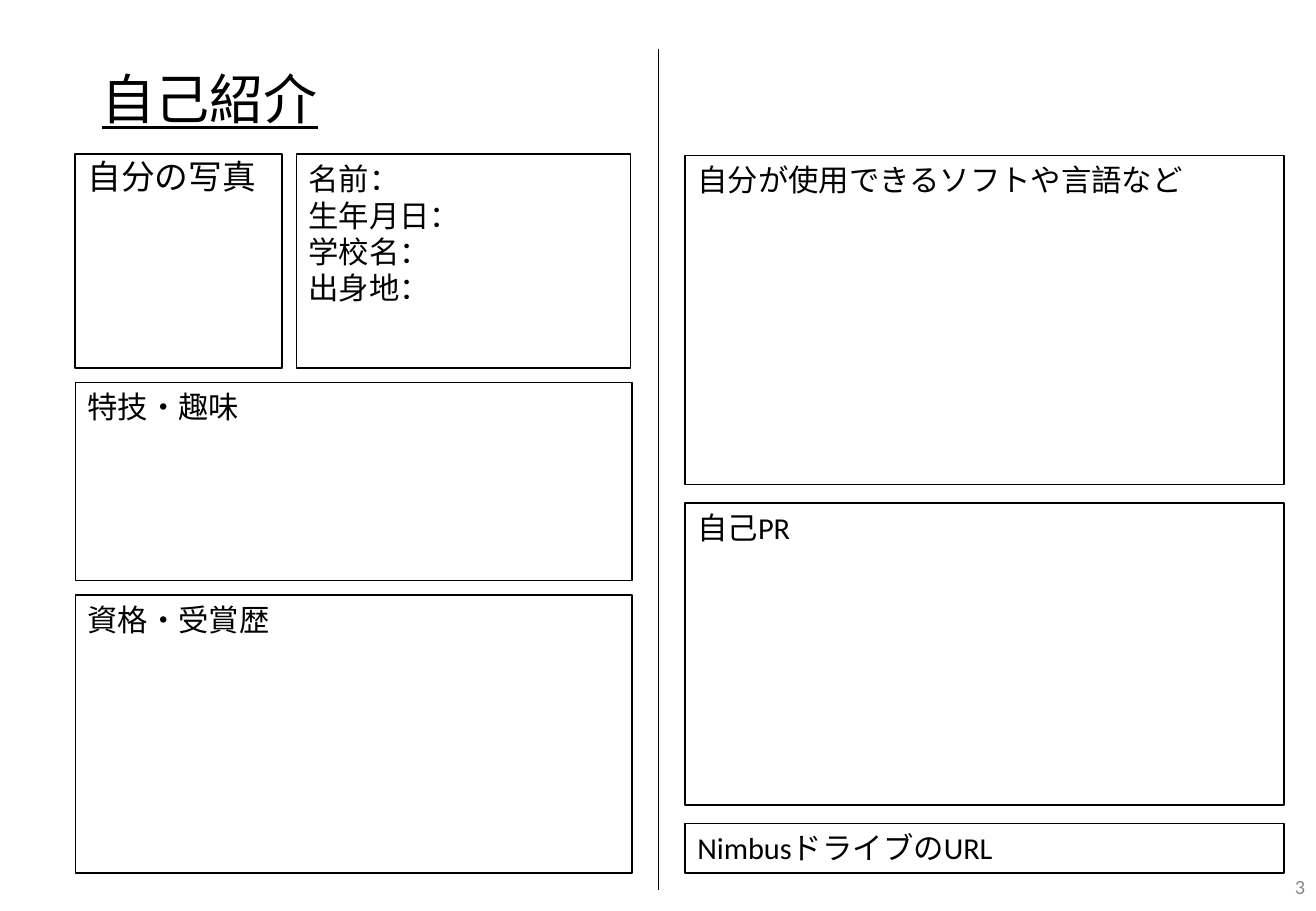
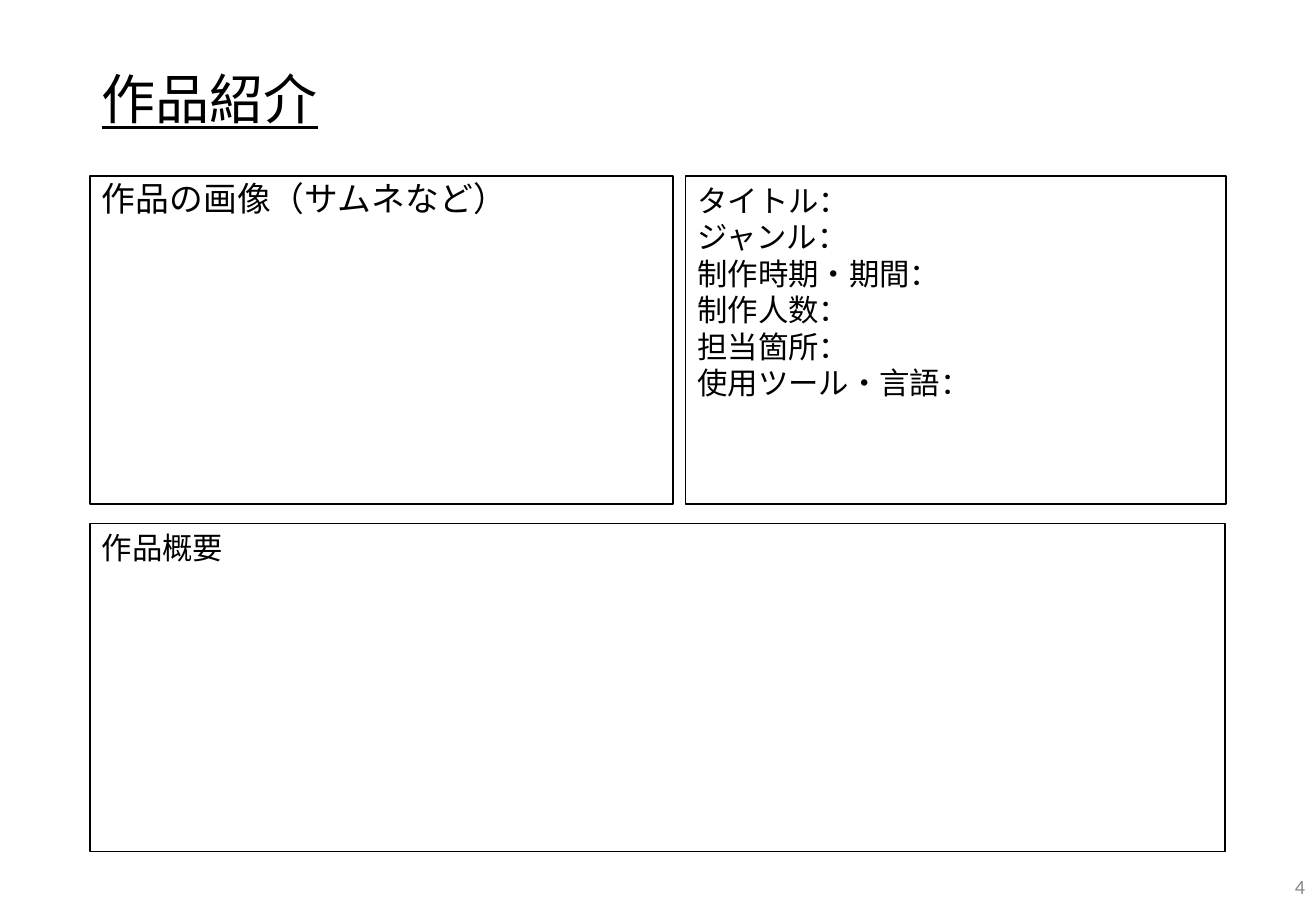
from lxml.etree import SubElement
from pptx import Presentation
from pptx.dml.color import RGBColor
from pptx.enum.shapes import MSO_CONNECTOR, MSO_SHAPE
from pptx.enum.text import MSO_ANCHOR, PP_ALIGN
from pptx.oxml.ns import qn
from pptx.util import Inches, Pt

COLORS = {"paper": "FFFFFF", "ink": "000000", "number": "888888"}
FONT = "Calibri"
TITLE = {"size": 32, "underline": True, "spacing": 0.9}
PICTURE = {"size": 20, "spacing": 0.9}
FIELD = {"size": 18}
NUMBER = {"size": 12, "color": "number", "align": PP_ALIGN.RIGHT}

# Each column stacks rows of (height, cells); each cell is (width, lines, style).
PAGES = [
    {
        "title": "自己紹介",
        "number": "3",
        "divider": (5.42, 0.4, 7.33),
        "columns": [
            {"left": 0.62, "top": 1.27, "row_gap": 0.12, "cell_gap": 0.12, "rows": [
                (1.76, [
                    (1.7, ["自分の写真"], PICTURE),
                    (2.75, ["名前：", "生年月日：", "学校名：", "出身地："], FIELD),
                ]),
                (1.63, [(4.58, ["特技・趣味"], FIELD)]),
                (2.29, [(4.58, ["資格・受賞歴"], FIELD)]),
            ]},
            {"left": 5.64, "top": 1.28, "row_gap": 0.15, "cell_gap": 0, "rows": [
                (2.71, [(4.93, ["自分が使用できるソフトや言語など"], FIELD)]),
                (2.49, [(4.93, ["自己PR"], FIELD)]),
                (0.41, [(4.93, ["NimbusドライブのURL"], FIELD)]),
            ]},
        ],
    },
    {
        "title": "作品紹介",
        "number": "4",
        "divider": None,
        "columns": [
            {"left": 0.74, "top": 1.45, "row_gap": 0.16, "cell_gap": 0.1, "rows": [
                (2.7, [
                    (4.8, ["作品の画像（サムネなど）"], PICTURE),
                    (4.45, ["タイトル：", "ジャンル：", "制作時期・期間：",
                            "制作人数：", "担当箇所：", "使用ツール・言語："], FIELD),
                ]),
                (2.7, [(9.34, ["作品概要"], FIELD)]),
            ]},
        ],
    },
]


def color(name):
    return RGBColor.from_string(COLORS[name])


def write(shape, lines, style, anchor):
    frame = shape.text_frame
    frame.word_wrap = True
    frame.vertical_anchor = anchor
    frame.text = "\n".join(lines)
    for para in frame.paragraphs:
        para.alignment = style.get("align", PP_ALIGN.LEFT)
        para.line_spacing = style.get("spacing")
        for span in para.runs:
            span.font.name = FONT
            span.font.size = Pt(style["size"])
            span.font.underline = style.get("underline")
            span.font.color.rgb = color(style.get("color", "ink"))


def add_label(page, area, text, style):
    box = page.shapes.add_textbox(*map(Inches, area))
    write(box, [text], style, MSO_ANCHOR.MIDDLE)


def add_frame(page, area, lines, style):
    box = page.shapes.add_shape(MSO_SHAPE.RECTANGLE, *map(Inches, area))
    box.shadow.inherit = False
    box.fill.solid()
    box.fill.fore_color.rgb = color("paper")
    box.line.color.rgb = color("ink")
    box.line.width = Pt(1)
    write(box, lines, style, MSO_ANCHOR.TOP)


def add_divider(page, x, top, bottom):
    line = page.shapes.add_connector(
        MSO_CONNECTOR.STRAIGHT, Inches(x), Inches(top), Inches(x), Inches(bottom))
    line.line.color.rgb = color("ink")
    line.line.width = Pt(0.75)
    SubElement(line._element.spPr, qn("a:effectLst"))


def add_column(page, column):
    top = column["top"]
    for height, cells in column["rows"]:
        left = column["left"]
        for width, lines, style in cells:
            add_frame(page, (left, top, width, height), lines, style)
            left += width + column["cell_gap"]
        top += height + column["row_gap"]


def main():
    deck = Presentation()
    deck.slide_width, deck.slide_height = Inches(10.83), Inches(7.5)
    for content in PAGES:
        page = deck.slides.add_slide(deck.slide_layouts[6])
        add_label(page, (0.74, 0.4, 9.34, 0.88), content["title"], TITLE)
        add_label(page, (8.4, 7.1, 2.44, 0.4), content["number"], NUMBER)
        if content["divider"]:
            add_divider(page, *content["divider"])
        for column in content["columns"]:
            add_column(page, column)
    deck.save("out.pptx")


if __name__ == "__main__":
    main()
